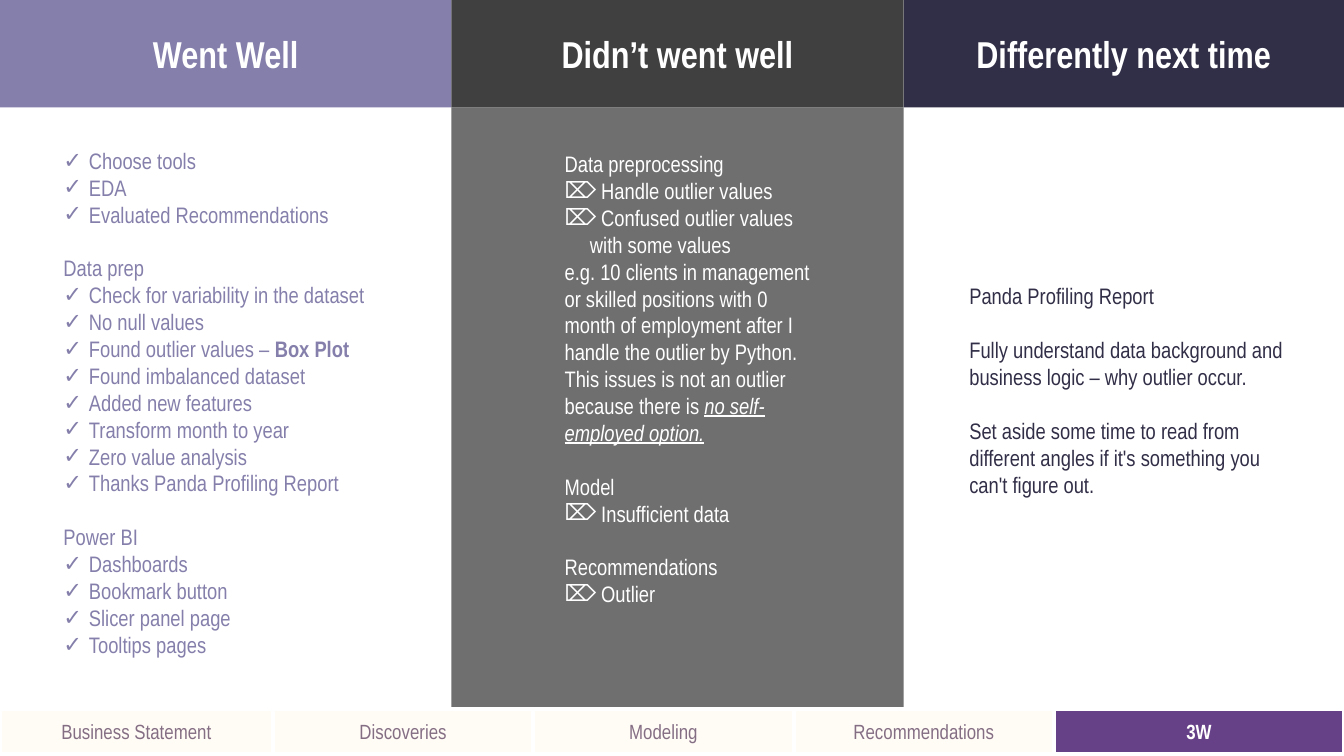
from dataclasses import dataclass

import lxml.etree
import pptx
import pptx.dml.color
import pptx.enum.shapes
import pptx.enum.text
import pptx.oxml.ns
import pptx.util

Cm, Pt = pptx.util.Cm, pptx.util.Pt
ALIGN = pptx.enum.text.PP_ALIGN


@dataclass(frozen=True)
class Theme:
    font: str = "Arial Narrow"
    heading_size: float = 20
    body_size: float = 12
    tab_size: float = 11
    line_gap: float = 14.4
    white: str = "FFFFFF"
    lavender: str = "847FAB"
    charcoal: str = "404040"
    grey: str = "6F6F6F"
    navy: str = "312F47"
    ink: str = "312E47"
    cream: str = "FFFBF5"
    mauve: str = "846E84"
    purple: str = "674188"


@dataclass(frozen=True)
class Box:
    """Left, top, width and height in centimetres."""
    x: float
    y: float
    w: float
    h: float

    def place(self, sp) -> None:
        sp.left, sp.top, sp.width, sp.height = map(Cm, (self.x, self.y, self.w, self.h))


@dataclass(frozen=True)
class Line:
    text: str
    bullet: bool = True
    bold_end: str = ""
    stressed_end: str = ""


@dataclass(frozen=True)
class Column:
    heading: str
    fill: str
    heading_box: Box
    body_box: Box
    inset: float
    color: str
    mark: str
    groups: list[list[Line]]


T = Theme()


def head(text: str, **ends: str) -> Line:
    return Line(text, bullet=False, **ends)


def lines(*texts: str) -> list[Line]:
    return [Line(text) for text in texts]


COLUMNS = [
    Column("Went Well", T.lavender, Box(0, 0, 8.53, 2.03),
           Box(0.56, 2.57, 7.98, 10.06), 0.64, T.lavender, "✓", [
               lines("Choose tools", "EDA", "Evaluated Recommendations"),
               [head("Data prep"),
                *lines("Check for variability in the dataset", "No null values"),
                Line("Found outlier values – ", bold_end="Box Plot"),
                *lines("Found imbalanced dataset", "Added new features",
                       "Transform month to year", "Zero value analysis",
                       "Thanks Panda Profiling Report")],
               [head("Power BI"), *lines("Dashboards", "Bookmark button",
                                         "Slicer panel page", "Tooltips pages")],
           ]),
    Column("Didn’t went well", T.charcoal, Box(8.53, 0, 8.55, 2.03),
           Box(10.13, 2.39, 5.87, 9.53), 0.54, T.white, "⌦", [
               [head("Data preprocessing"),
                *lines(" Handle outlier values",
                       " Confused outlier values with some values"),
                head("e.g. 10 clients in management or skilled positions with 0 month "
                     "of employment after I handle the outlier by Python. This issues "
                     "is not an outlier because there is ",
                     stressed_end="no self-employed option.")],
               [head("Model"), Line(" Insufficient data")],
               [head("Recommendations"), Line(" Outlier")],
           ]),
    Column("Differently next time", T.navy, Box(17.08, 0, 8.32, 2.03),
           Box(17.7, 2.34, 7.44, 10.06), 0.62, T.ink, "", [
               [head("Panda Profiling Report")],
               [head("Fully understand data background and business logic – "
                     "why outlier occur.")],
               [head("Set aside some time to read from different angles if it's "
                     "something you can't figure out.")],
           ]),
]
TABS = ["Business Statement", "Discoveries", "Modeling", "Recommendations", "3W"]


def rgb(color: str) -> pptx.dml.color.RGBColor:
    return pptx.dml.color.RGBColor.from_string(color)


def fill(sp, color: str) -> None:
    sp.fill.solid()
    sp.fill.fore_color.rgb = rgb(color)


def add_text(p, text: str, *, size: float, color: str, bold: bool = False,
             italic: bool = False, underline: bool = False) -> None:
    r = p.add_run()
    r.text = text
    f = r.font
    f.name, f.size, f.color.rgb = T.font, Pt(size), rgb(color)
    f.bold, f.italic, f.underline = bold, italic, underline


def prepare_frame(sp):
    tf = sp.text_frame
    tf.word_wrap = True
    tf.auto_size = pptx.enum.text.MSO_AUTO_SIZE.NONE
    tf.vertical_anchor = pptx.enum.text.MSO_ANCHOR.MIDDLE
    return tf


def set_bullet(p, mark: str, color: str) -> None:
    """Give the paragraph a hanging mark, or none when mark is empty."""
    qn = pptx.oxml.ns.qn
    pPr = p._p.get_or_add_pPr()
    indent = Cm(0.48) if mark else 0
    pPr.set("marL", str(indent))
    pPr.set("indent", str(-indent))
    if not mark:
        lxml.etree.SubElement(pPr, qn("a:buNone"))
        return
    clr = lxml.etree.SubElement(pPr, qn("a:buClr"))
    lxml.etree.SubElement(clr, qn("a:srgbClr"), val=color)
    lxml.etree.SubElement(pPr, qn("a:buFont"), typeface="Arial")
    lxml.etree.SubElement(pPr, qn("a:buChar"), char=mark)


def draw_label(sp, box: Box, text: str, back: str, **fmt) -> None:
    box.place(sp)
    fill(sp, back)
    p = prepare_frame(sp).paragraphs[0]
    p.alignment = ALIGN.CENTER
    p.space_before = Pt(0)
    set_bullet(p, "", back)
    add_text(p, text, **fmt)


def draw_body(sp, col: Column) -> None:
    col.body_box.place(sp)
    tf = prepare_frame(sp)
    tf.margin_left = tf.margin_right = Cm(col.inset)
    tf.margin_top = tf.margin_bottom = Cm(0.25)
    fmt = {"size": T.body_size, "color": col.color}
    for g, group in enumerate(col.groups):
        for i, line in enumerate(group):
            p = tf.paragraphs[0] if g == i == 0 else tf.add_paragraph()
            p.alignment = ALIGN.LEFT
            p.space_before = Pt(T.line_gap if g and i == 0 else 0)
            set_bullet(p, col.mark if line.bullet else "", col.color)
            add_text(p, line.text, **fmt)
            if line.bold_end:
                add_text(p, line.bold_end, bold=True, **fmt)
            if line.stressed_end:
                add_text(p, line.stressed_end, italic=True, underline=True, **fmt)


def add_rect(s, box: Box):
    sp = s.shapes.add_shape(pptx.enum.shapes.MSO_SHAPE.RECTANGLE, 0, 0, 0, 0)
    box.place(sp)
    sp.shadow.inherit = False
    sp.line.fill.background()
    return sp


def draw_tabs(s) -> None:
    edges = [0, 5.16, 10.08, 15, 19.92, 25.4]
    for name, x, end in zip(TABS, edges, edges[1:]):
        active = name == TABS[-1]
        box = Box(x, 13.39, end - x, 0.86)
        sp = add_rect(s, box)
        draw_label(sp, box, name, T.purple if active else T.cream, size=T.tab_size,
                   color=T.white if active else T.mauve, bold=active)
        sp.line.color.rgb = rgb(T.white)
        sp.line.width = Pt(2)


def main() -> None:
    prs = pptx.Presentation()
    prs.slide_width, prs.slide_height = Cm(25.4), Cm(14.28)
    s = prs.slides.add_slide(prs.slide_layouts.get_by_name("Comparison"))
    ph = {sp.placeholder_format.idx: sp for sp in s.placeholders}
    panel = add_rect(s, Box(8.53, 2.03, 8.55, 11.4))
    fill(panel, T.grey)
    panel.element.getparent().insert(2, panel.element)  # behind the text
    draw_tabs(s)
    headings = [ph[0], ph[1], ph[3]]
    bodies = [ph[2], ph[4], s.shapes.add_textbox(0, 0, 0, 0)]
    for col, heading, body in zip(COLUMNS, headings, bodies):
        draw_label(heading, col.heading_box, col.heading, col.fill,
                   size=T.heading_size, color=T.white, bold=True)
        draw_body(body, col)
    prs.save("out.pptx")


if __name__ == "__main__":
    main()
